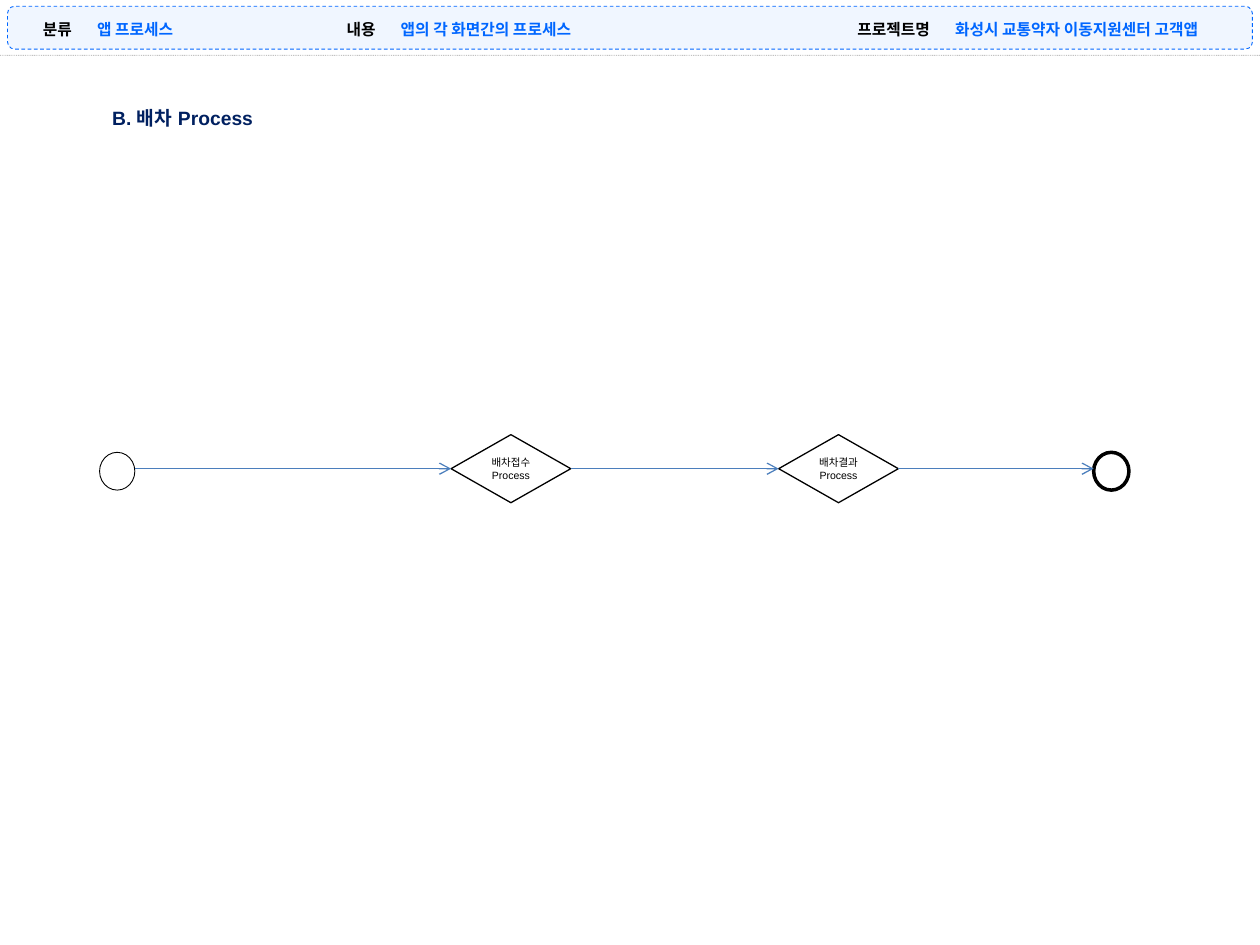
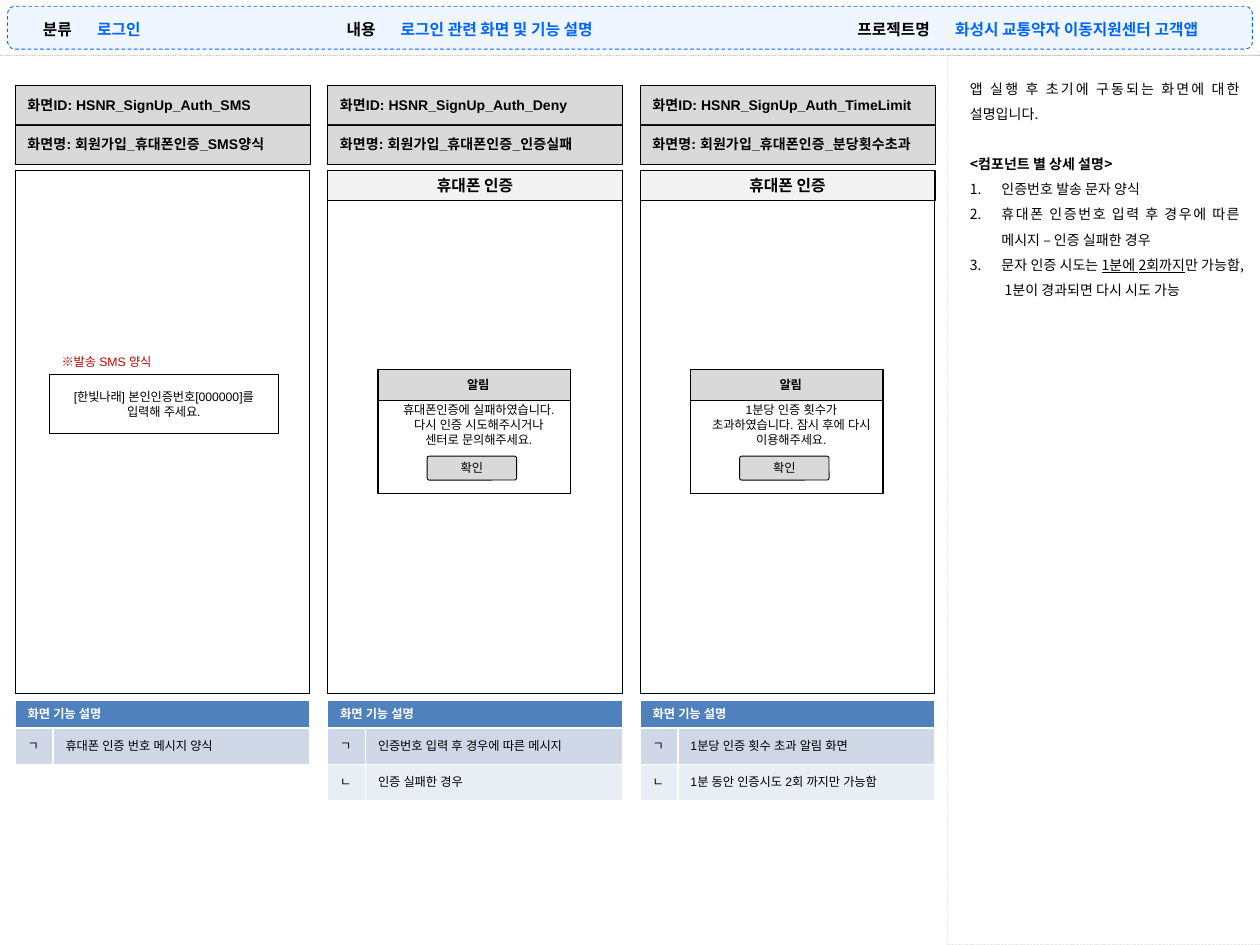
from dataclasses import dataclass
from typing import Any, Optional

from lxml.etree import SubElement
from pptx import Presentation
from pptx.dml.color import RGBColor
from pptx.enum.dml import MSO_LINE
from pptx.enum.shapes import MSO_CONNECTOR, MSO_SHAPE
from pptx.enum.text import MSO_ANCHOR, MSO_AUTO_SIZE, PP_ALIGN
from pptx.oxml.ns import qn
from pptx.util import Inches, Pt

# Shared colours and fonts
BLACK = RGBColor(0x00, 0x00, 0x00)
WHITE = RGBColor(0xFF, 0xFF, 0xFF)
BLUE = RGBColor(0x00, 0x66, 0xFF)
NAVY = RGBColor(0x00, 0x20, 0x60)
RED = RGBColor(0xC0, 0x00, 0x00)
RULE_GRAY = RGBColor(0x80, 0x80, 0x80)
PANEL_GRAY = RGBColor(0xEA, 0xEA, 0xEA)
LABEL_GRAY = RGBColor(0xD9, 0xD9, 0xD9)
BAR_GRAY = RGBColor(0xF2, 0xF2, 0xF2)
ARROW_BLUE = RGBColor(0x4B, 0x7E, 0xBC)
TABLE_BLUE = RGBColor(0x4F, 0x81, 0xBD)
TABLE_BANDS = (RGBColor(0xD0, 0xD8, 0xE8), RGBColor(0xE9, 0xED, 0xF4))
ARIAL = "Arial"
NOTO = "Noto Sans CJK KR"
NO_GRID_STYLE = "{2D5ABB26-0587-4C30-8999-92F81FD0307C}"

# Text formats
HEADER = dict(name=NOTO, size=Pt(9), bold=True)
TITLE = dict(name=ARIAL, size=Pt(11), bold=True)
LABEL = dict(name=ARIAL, size=Pt(8), bold=True)
NODE = dict(name=ARIAL, size=Pt(6))
SMALL = dict(name=ARIAL, size=Pt(7), bold=False)
SMALL_BOLD = dict(name=ARIAL, size=Pt(7), bold=True)
NOTE = dict(name=NOTO, size=Pt(8))

PROJECT = "화성시 교통약자 이동지원센터 고객앱"


@dataclass(frozen=True)
class Box:
    left: float
    top: float
    width: float
    height: float

    def lengths(self) -> tuple:
        return tuple(Inches(v) for v in (self.left, self.top, self.width, self.height))


@dataclass(frozen=True)
class Screen:
    screen_id: str
    name: str
    functions: tuple
    alert: Optional[str] = None


@dataclass(frozen=True)
class Note:
    pieces: tuple  # (text, extra format) pairs
    numbered: bool = False
    space_before: float = 0


SCREENS = (
    Screen("HSNR_SignUp_Auth_SMS", "회원가입_휴대폰인증_SMS양식",
           ("휴대폰 인증 번호 메시지 양식",)),
    Screen("HSNR_SignUp_Auth_Deny", "회원가입_휴대폰인증_인증실패",
           ("인증번호 입력 후 경우에 따른 메시지", "인증 실패한 경우"),
           "휴대폰인증에 실패하였습니다. 다시 인증 시도해주시거나 센터로 문의해주세요."),
    Screen("HSNR_SignUp_Auth_TimeLimit", "회원가입_휴대폰인증_분당횟수초과",
           ("1분당 인증 횟수 초과 알림 화면", "1분 동안 인증시도 2회 까지만 가능함"),
           "1분당 인증 횟수가 초과하였습니다. 잠시 후에 다시 이용해주세요."),
)
NOTES = (
    Note((("앱 실행 후 초기에 구동되는 화면에 대한 설명입니다.", {}),)),
    Note((("<컴포넌트 별 상세 설명>", dict(bold=True)),), space_before=14.4),
    Note((("인증번호 발송 문자 양식", {}),), True),
    Note((("휴대폰 인증번호 입력 후 경우에 따른 메시지 – 인증 실패한 경우", {}),), True),
    Note((("문자 인증 시도는 ", {}), ("1분에 2회까지", dict(underline=True)),
          ("만 가능함, 1분이 경과되면 다시 시도 가능", {})), True),
)


# Text helpers
def add_run(paragraph: Any, text: str, style: dict, color: RGBColor = BLACK) -> None:
    run = paragraph.add_run()
    run.text = text
    for attribute, value in style.items():
        setattr(run.font, attribute, value)
    run.font.color.rgb = color
    SubElement(run.font._element, qn("a:ea"), typeface=style["name"])


def write(frame: Any, text: str, style: dict, color: RGBColor = BLACK,
          align: PP_ALIGN = PP_ALIGN.LEFT, **settings: Any) -> None:
    options = dict(word_wrap=True, vertical_anchor=MSO_ANCHOR.MIDDLE) | settings
    for attribute, value in options.items():
        setattr(frame, attribute, value)
    for index, line in enumerate(text.split("\n")):
        paragraph = frame.add_paragraph() if index else frame.paragraphs[0]
        paragraph.alignment = align
        add_run(paragraph, line, style, color)


# Drawing helpers
def set_alpha(properties: Any, route: str, percent: int) -> None:
    color = properties.find("/".join(qn(tag) for tag in route.split()))
    SubElement(color, qn("a:alpha"), val=str(percent * 1000))


def format_line(line: Any, color: RGBColor, width: float,
                dash: Optional[MSO_LINE] = None) -> None:
    line.color.rgb = color
    line.width = Pt(width)
    if dash is not None:
        line.dash_style = dash


def add_box(slide: Any, kind: MSO_SHAPE, box: Box, fill: Optional[RGBColor] = None,
            line: RGBColor = BLACK, width: float = 0.5,
            dash: Optional[MSO_LINE] = None) -> Any:
    shape = slide.shapes.add_shape(kind, *box.lengths())
    shape.shadow.inherit = False
    if fill is None:
        shape.fill.background()
    else:
        shape.fill.solid()
        shape.fill.fore_color.rgb = fill
    format_line(shape.line, line, width, dash)
    return shape


def add_line(slide: Any, kind: MSO_CONNECTOR, left: float, right: float, top: float,
             color: RGBColor, width: float, dash: Optional[MSO_LINE] = None) -> Any:
    connector = slide.shapes.add_connector(
        kind, Inches(left), Inches(top), Inches(right), Inches(top))
    format_line(connector.line, color, width, dash)
    SubElement(connector._element.spPr, qn("a:effectLst"))
    return connector


def add_header(slide: Any, category: str, content: str) -> None:
    band = add_box(slide, MSO_SHAPE.ROUNDED_RECTANGLE, Box(0.06, 0.05, 9.88, 0.34),
                   BLUE, BLUE, 0.5, MSO_LINE.DASH)
    set_alpha(band._element.spPr, "a:solidFill a:srgbClr", 6)
    rule = add_line(slide, MSO_CONNECTOR.STRAIGHT, 0, 10, 0.44, RULE_GRAY, 0.5,
                    MSO_LINE.ROUND_DOT)
    set_alpha(rule._element.spPr, "a:ln a:solidFill a:srgbClr", 48)
    for left, widths, texts in (
            (0.12, (0.55, 1.65), ("분류", category)),
            (2.43, (0.65, 3.57), ("내용", content)),
            (6.65, (0.83, 2.48), ("프로젝트명", PROJECT))):
        box = Box(left, 0.09, sum(widths), 0.25)
        table = slide.shapes.add_table(1, 2, *box.lengths()).table
        table.first_row = table.horz_banding = False
        table._tbl.tblPr.find(qn("a:tableStyleId")).text = NO_GRID_STYLE
        looks = ((BLACK, PP_ALIGN.RIGHT), (BLUE, PP_ALIGN.LEFT))
        for index, (text, (color, align)) in enumerate(zip(texts, looks)):
            table.columns[index].width = Inches(widths[index])
            cell = table.cell(0, index)
            cell.fill.background()
            paragraph = cell.text_frame.paragraphs[0]
            paragraph.alignment = align
            add_run(paragraph, text, HEADER, color)


# Slide 1: dispatch process
def build_process(presentation: Any) -> None:
    slide = presentation.slides.add_slide(presentation.slide_layouts[5])
    add_header(slide, "앱 프로세스", "앱의 각 화면간의 프로세스")

    title = slide.shapes.title
    title.left, title.top, title.width, title.height = Box(0.79, 0.79, 2.4, 0.29).lengths()
    write(title.text_frame, "B. 배차 Process", TITLE, NAVY,
          vertical_anchor=MSO_ANCHOR.TOP, auto_size=MSO_AUTO_SIZE.NONE)

    for left, width in ((0.79, 0.5), (8.68, 2)):
        add_box(slide, MSO_SHAPE.OVAL, Box(left, 3.59, 0.28, 0.3), WHITE, width=width)

    decisions = []
    for left, text in ((3.58, "배차접수Process"), (6.18, "배차결과\nProcess")):
        decision = add_box(slide, MSO_SHAPE.FLOWCHART_DECISION,
                           Box(left, 3.45, 0.95, 0.54), WHITE, width=0.75)
        write(decision.text_frame, text, NODE, align=PP_ALIGN.CENTER,
              margin_left=0, margin_right=0)
        decisions.append(decision)

    receipt, result = decisions
    for left, right, source, target in ((1.07, 3.58, None, receipt),
                                        (4.53, 6.18, receipt, result),
                                        (7.13, 8.68, result, None)):
        arrow = add_line(slide, MSO_CONNECTOR.CURVE, left, right, 3.72, ARROW_BLUE, 0.75)
        SubElement(arrow.line._get_or_add_ln(), qn("a:tailEnd"), type="arrow")
        if source is not None:
            arrow.begin_connect(source, 3)
        if target is not None:
            arrow.end_connect(target, 1)


# Slide 2: sign-up screens
def add_function_table(slide: Any, left: float, functions: tuple) -> None:
    heights = [0.21] + [0.29] * len(functions)
    box = Box(left, 5.56, 2.34, sum(heights))
    table = slide.shapes.add_table(len(heights), 2, *box.lengths()).table
    for column, width in zip(table.columns, (0.3, 2.04)):
        column.width = Inches(width)
    for row, height in zip(table.rows, heights):
        row.height = Inches(height)
    table.cell(0, 0).merge(table.cell(0, 1))
    rows = [("화면 기능 설명",)] + list(zip("ㄱㄴ", functions))
    for row_index, texts in enumerate(rows):
        heading = row_index == 0
        for column_index, text in enumerate(texts):
            cell = table.cell(row_index, column_index)
            cell.vertical_anchor = MSO_ANCHOR.MIDDLE
            cell.fill.solid()
            cell.fill.fore_color.rgb = TABLE_BLUE if heading else TABLE_BANDS[row_index - 1]
            add_run(cell.text_frame.paragraphs[0], text,
                    SMALL_BOLD if heading else SMALL, WHITE if heading else BLACK)


def add_alert(slide: Any, left: float, message: str) -> None:
    bar = add_box(slide, MSO_SHAPE.RECTANGLE, Box(left, 2.93, 1.53, 0.25), LABEL_GRAY, width=0.75)
    write(bar.text_frame, "알림", SMALL_BOLD, align=PP_ALIGN.CENTER, margin_left=Inches(0.16))
    add_box(slide, MSO_SHAPE.RECTANGLE, Box(left, 3.18, 1.53, 0.74), WHITE, width=0.75)
    text_box = slide.shapes.add_textbox(*Box(left + 0.06, 3.17, 1.48, 0.4).lengths())
    write(text_box.text_frame, message, SMALL, align=PP_ALIGN.CENTER)
    button = add_box(slide, MSO_SHAPE.ROUNDED_RECTANGLE,
                     Box(left + 0.39, 3.62, 0.71, 0.19), LABEL_GRAY)
    button.adjustments[0] = 0.09
    write(button.text_frame, "확인", SMALL, align=PP_ALIGN.CENTER,
          margin_left=Inches(0.04), margin_right=Inches(0.04))


def add_sms_sample(slide: Any, left: float) -> None:
    sample = add_box(slide, MSO_SHAPE.RECTANGLE, Box(left, 2.97, 1.82, 0.47), WHITE)
    write(sample.text_frame, "[한빛나래] 본인인증번호[000000]를 입력해 주세요.", SMALL,
          align=PP_ALIGN.CENTER)
    caption = slide.shapes.add_textbox(*Box(left, 2.78, 1.82, 0.18).lengths())
    write(caption.text_frame, "※발송 SMS 양식", SMALL, RED)


def add_screen(slide: Any, left: float, screen: Screen) -> None:
    labels = (f"화면ID: {screen.screen_id}", f"화면명: {screen.name}")
    for index, text in enumerate(labels):
        label = add_box(slide, MSO_SHAPE.RECTANGLE, Box(left, 0.68 + 0.31 * index, 2.34, 0.31),
                        LABEL_GRAY, width=0.25)
        write(label.text_frame, text, LABEL, word_wrap=False)
    if screen.alert:
        bar = add_box(slide, MSO_SHAPE.RECTANGLE, Box(left, 1.35, 2.34, 0.24),
                      BAR_GRAY, width=0.25)
        write(bar.text_frame, "휴대폰 인증", HEADER, align=PP_ALIGN.CENTER, word_wrap=False)
    add_box(slide, MSO_SHAPE.RECTANGLE, Box(left, 1.35, 2.34, 4.15))
    if screen.alert:
        add_alert(slide, left + 0.4, screen.alert)
    else:
        add_sms_sample(slide, left + 0.27)
    add_function_table(slide, left, screen.functions)


def add_notes_panel(slide: Any) -> None:
    add_box(slide, MSO_SHAPE.RECTANGLE, Box(7.52, 0.44, 2.48, 7.06), None,
            PANEL_GRAY, 0.5, MSO_LINE.SQUARE_DOT)
    frame = slide.shapes.add_textbox(*Box(7.6, 0.52, 2.34, 1.92).lengths()).text_frame
    frame.word_wrap = True
    for index, note in enumerate(NOTES):
        paragraph = frame.add_paragraph() if index else frame.paragraphs[0]
        paragraph.alignment = PP_ALIGN.JUSTIFY
        paragraph.line_spacing = 1.5
        if note.space_before:
            paragraph.space_before = Pt(note.space_before)
        if note.numbered:
            properties = paragraph._p.get_or_add_pPr()
            properties.set("marL", str(Inches(0.25)))
            properties.set("indent", str(-Inches(0.25)))
            SubElement(properties, qn("a:buFont"), typeface="+mj-lt")
            SubElement(properties, qn("a:buAutoNum"), type="arabicPeriod")
        for text, extra in note.pieces:
            add_run(paragraph, text, NOTE | extra)


def build_screens(presentation: Any) -> None:
    slide = presentation.slides.add_slide(presentation.slide_layouts[6])
    add_notes_panel(slide)
    add_header(slide, "로그인", "로그인 관련 화면 및 기능 설명")
    for index, screen in enumerate(SCREENS):
        add_screen(slide, 0.12 + 2.48 * index, screen)


def main() -> None:
    presentation = Presentation()
    presentation.slide_width, presentation.slide_height = Inches(10), Inches(7.5)
    build_process(presentation)
    build_screens(presentation)
    presentation.save("out.pptx")


if __name__ == "__main__":
    main()
